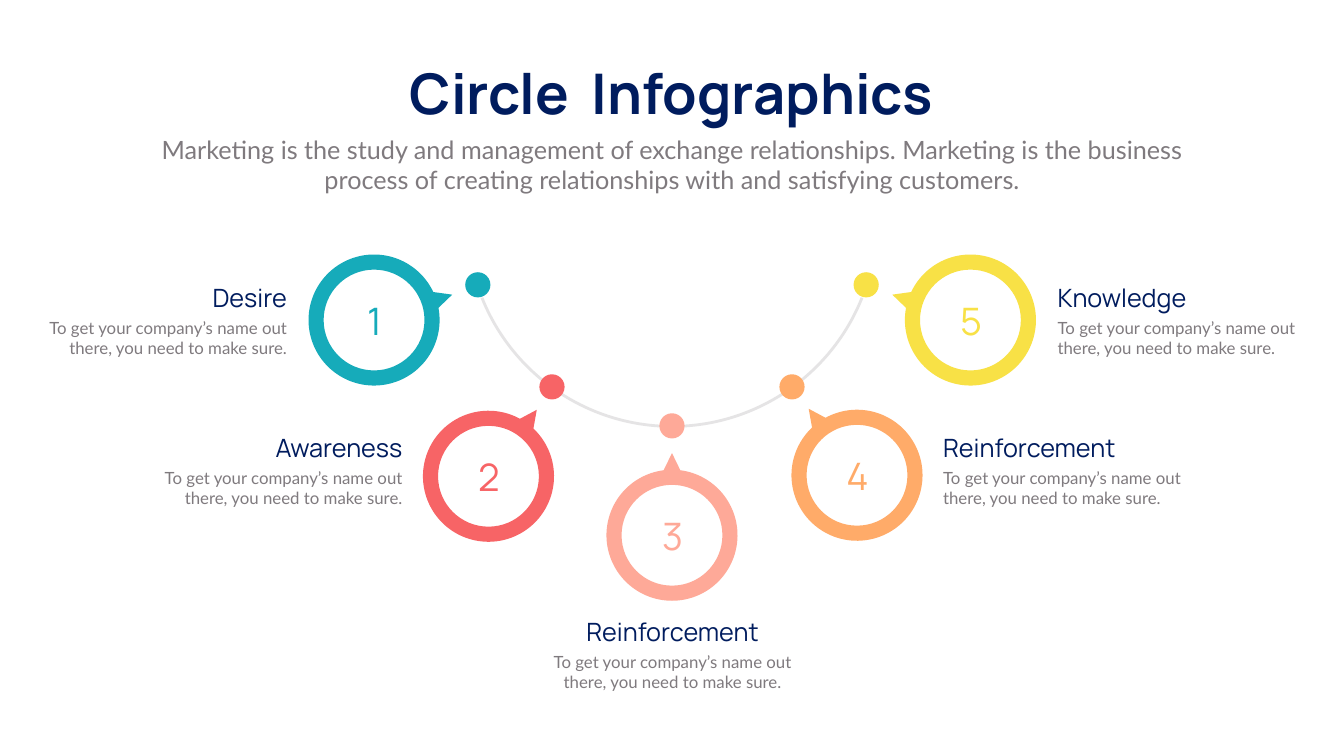
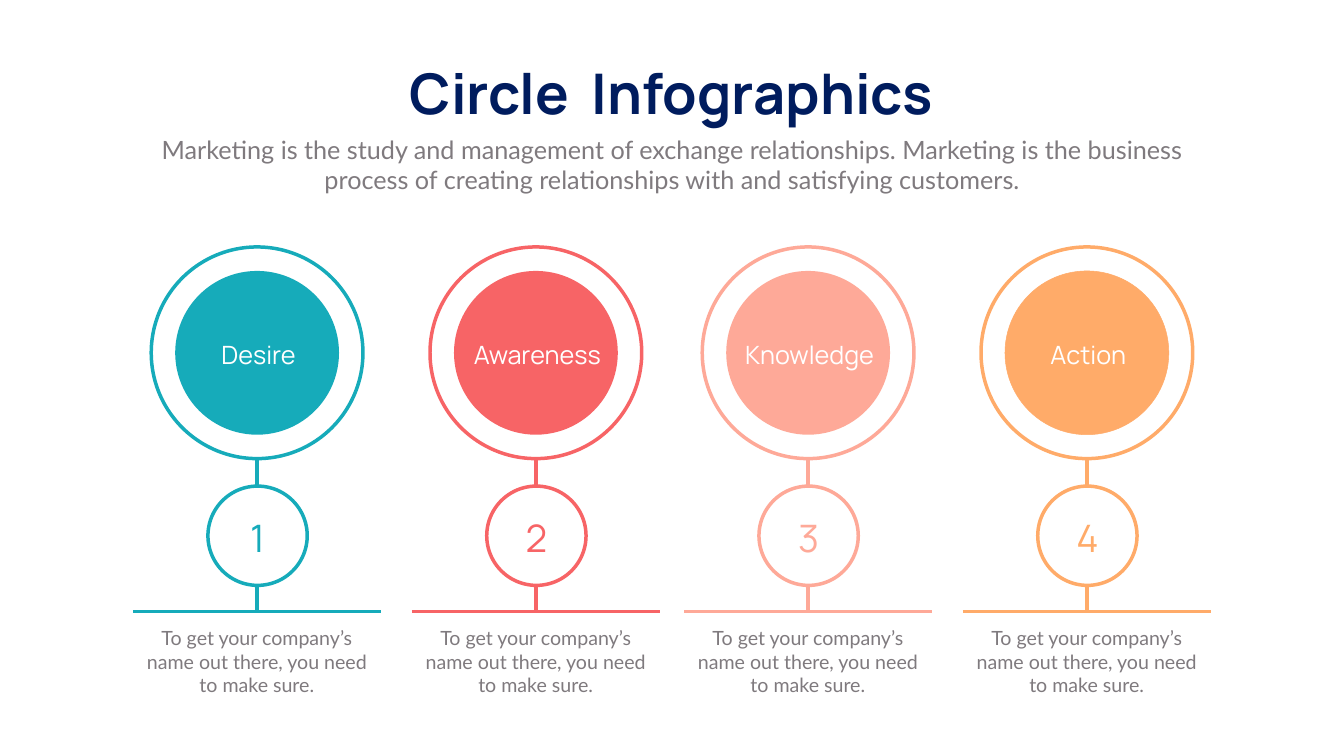
import math

import pptx
import pptx.dml.color
import pptx.enum.shapes
import pptx.enum.text
import pptx.oxml
import pptx.oxml.ns
import pptx.util

Inches = pptx.util.Inches
Pt = pptx.util.Pt
qn = pptx.oxml.ns.qn
ALIGN = pptx.enum.text.PP_ALIGN
ANCHOR = pptx.enum.text.MSO_ANCHOR
AUTO = pptx.enum.text.MSO_AUTO_SIZE
OVAL = pptx.enum.shapes.MSO_SHAPE.OVAL
STRAIGHT = pptx.enum.shapes.MSO_CONNECTOR.STRAIGHT

NAVY, GREY, SILVER, WHITE = "001C5E", "7F7A7E", "E5E4E5", "FFFFFF"
TEAL, RED, PINK, ORANGE, YELLOW = "16ABBA", "F76466", "FEA998", "FFAB69", "F8E146"
COLORS = [TEAL, RED, PINK, ORANGE, YELLOW]

TITLE = "Circle  Infographics"
INTRO = ("Marketing is the study and management of exchange relationships. "
         "Marketing is the business process of creating relationships with "
         "and satisfying customers.")
BODY = "To get your company’s name out there, you need to make sure."


def rgb(value):
    return pptx.dml.color.RGBColor.from_string(value)


def polar(cx, cy, radius, angle):
    """Return the point at angle degrees, counted clockwise from straight up."""
    a = math.radians(angle)
    return cx + radius * math.sin(a), cy - radius * math.cos(a)


def arc(cx, cy, radius, start, end, curves):
    """Return a start point, then two handles and an end point for each curve."""
    step = (end - start) / curves
    lean = math.degrees(math.atan(4 / 3 * math.tan(math.radians(step / 4))))
    reach = radius / math.cos(math.radians(lean))
    points = [polar(cx, cy, radius, start)]
    for i in range(curves):
        a, b = start + i * step, start + (i + 1) * step
        points += [polar(cx, cy, reach, a + lean), polar(cx, cy, reach, b - lean),
                   polar(cx, cy, radius, b)]
    return points


def bend(sp):
    """Turn each three line segments of a contour into one Bezier curve."""
    path = sp._element.find(".//" + qn("a:path"))
    lines = []
    for node in list(path):
        if node.tag != qn("a:lnTo"):
            lines = []
            continue
        lines.append(node)
        if len(lines) == 3:
            curve = pptx.oxml.parse_xml(
                "<a:cubicBezTo %s/>" % pptx.oxml.ns.nsdecls("a"))
            lines[0].addprevious(curve)
            for line in lines:
                curve.append(line[0])
                path.remove(line)
            lines = []


class Deck:
    """Holds the text styles and the slide being drawn."""

    fonts = {
        "title": {"name": "Manrope", "size": Pt(80), "bold": True},
        "intro": {"name": "Lato", "size": Pt(36)},
        "head": {"name": "Manrope", "size": Pt(36)},
        "number": {"name": "Manrope", "size": Pt(54)},
        "body": {"name": "Lato", "size": Pt(24)},
        "caption": {"name": "Lato", "size": Pt(28)},
    }
    frames = {
        "title": {"word_wrap": False},
        "number": {"vertical_anchor": ANCHOR.MIDDLE,
                   "margin_left": Inches(0.06), "margin_right": Inches(0.06),
                   "margin_top": Inches(0.06), "margin_bottom": Inches(0.06)},
    }

    def __init__(self, prs):
        self.prs = prs
        self.s = None

    def new_slide(self):
        self.s = self.prs.slides.add_slide(self.prs.slide_layouts[6])
        self.text(TITLE, "title", NAVY, 7.62, 1.12, 11.41, 1.45)
        self.text(INTRO, "intro", GREY, 2.92, 2.61, 20.82, 1.31)

    def text(self, text, style, color, x, y, w, h, align=ALIGN.CENTER):
        sp = self.s.shapes.add_textbox(Inches(x), Inches(y), Inches(w), Inches(h))
        tf = sp.text_frame
        frame = {"word_wrap": True, "auto_size": AUTO.SHAPE_TO_FIT_TEXT,
                 **self.frames.get(style, {})}
        for key, value in frame.items():
            setattr(tf, key, value)
        p = tf.paragraphs[0]
        p.alignment = align
        r = p.add_run()
        r.text = text
        for key, value in self.fonts[style].items():
            setattr(r.font, key, value)
        r.font.color.rgb = rgb(color)

    def number(self, n, color, cx, cy):
        self.text(str(n), "number", color, cx - 1.2, cy - 0.5, 2.42, 1.02)

    def paint(self, sp, fill=None, line=None, width=5):
        sp.shadow.inherit = False
        if fill:
            sp.fill.solid()
            sp.fill.fore_color.rgb = rgb(fill)
        else:
            sp.fill.background()
        if line:
            sp.line.color.rgb = rgb(line)
            sp.line.width = Pt(width)
        else:
            sp.line.fill.background()

    def circle(self, cx, cy, diameter, **colors):
        sp = self.s.shapes.add_shape(
            OVAL, Inches(cx - diameter / 2), Inches(cy - diameter / 2),
            Inches(diameter), Inches(diameter))
        self.paint(sp, **colors)

    def line(self, x1, y1, x2, y2, color):
        c = self.s.shapes.add_connector(
            STRAIGHT, Inches(x1), Inches(y1), Inches(x2), Inches(y2))
        c.line.color.rgb = rgb(color)
        c.line.width = Pt(5)
        c._element.spPr.append(pptx.oxml.parse_xml(
            "<a:effectLst %s/>" % pptx.oxml.ns.nsdecls("a")))

    def outline(self, contours, close=True, **colors):
        """Draw one curved freeform from several lists of points."""
        contours = [[(Inches(x), Inches(y)) for x, y in c] for c in contours]
        builder = self.s.shapes.build_freeform(*contours[0][0], scale=1.0)
        for i, points in enumerate(contours):
            if i:
                builder.move_to(*points[0])
            builder.add_line_segments(points[1:], close=close)
        sp = builder.convert_to_shape()
        bend(sp)
        self.paint(sp, **colors)

    def pointer_ring(self, cx, cy, angle, color):
        """Draw a ring with a small tip that points towards angle."""
        outer = arc(cx, cy, 1.3, angle + 7.3, angle + 352.7, 8)
        inner = arc(cx, cy, 1, 360, 0, 4)
        self.outline([outer + [polar(cx, cy, 1.63, angle)], inner], fill=color)


def arc_slide(deck):
    deck.new_slide()
    cx, cy, step = 13.33, 4.4, 36
    rings = [(7.42, 6.35), (9.69, 9.45), (13.33, 10.62), (17, 9.43), (19.25, 6.35)]
    turns = [(2 - i) * step for i in range(len(rings))]
    deck.outline([arc(cx, cy, 4.06, 111.8, 248.2, 2)],
                 close=False, line=SILVER, width=4)
    for turn, color in zip(turns, COLORS):
        deck.circle(*polar(cx, cy, 4.05, 180 + turn), 0.5, fill=color)
    for ring, turn, color in zip(rings, turns, COLORS):
        deck.pointer_ring(*ring, turn, color)
    for n, (ring, color) in enumerate(zip(rings, COLORS), 1):
        deck.number(n, color, *ring)

    # heading, text edge (left, right or middle), top, heading size, alignment
    labels = [
        ("Desire", 5.79, 5.55, 3.26, 0.71, ALIGN.RIGHT),
        ("Awareness", 8.08, 8.52, 3.26, 0.71, ALIGN.RIGHT),
        ("Reinforcement", 13.34, 12.17, 4.24, 0.71, ALIGN.CENTER),
        ("Reinforcement", 18.61, 8.52, 4.24, 1.62, ALIGN.LEFT),
        ("Knowledge", 20.88, 5.55, 3.26, 0.71, ALIGN.LEFT),
    ]
    shift = {ALIGN.LEFT: 0, ALIGN.CENTER: 0.5, ALIGN.RIGHT: 1}
    for head, edge, top, width, height, align in labels:
        for text, style, color, y, w, h in (
                (BODY, "body", GREY, top + 0.71, 5.13, 0.91),
                (head, "head", NAVY, top, width, height)):
            deck.text(text, style, color, edge - w * shift[align], y, w, h, align)


def column_slide(deck):
    deck.new_slide()
    names = ["Desire", "Awareness", "Knowledge", "Action"]
    centers = [5.1, 10.63, 16.03, 21.56]
    for n, (name, cx, color) in enumerate(zip(names, centers, COLORS), 1):
        rim = {"line": color, "width": 0.75} if name == "Action" else {}
        deck.circle(cx, 7, 3.25, fill=color, **rim)
        deck.circle(cx, 7, 4.2, line=color)
        deck.line(cx, 9.64, cx, 9.09, color)
        deck.line(cx - 2.46, 12.13, cx + 2.46, 12.13, color)
        deck.circle(cx + 0.01, 10.63, 1.97, line=color)
        deck.text(name, "head", WHITE, cx - 1.75, 6.68, 3.56, 0.71)
        deck.number(n, color, cx, 10.65)
        deck.text(BODY, "caption", GREY, cx - 2.34, 12.37, 4.67, 1.51)
        deck.line(cx, 12.14, cx, 11.59, color)


def main():
    prs = pptx.Presentation()
    prs.slide_width = Inches(26.66)
    prs.slide_height = Inches(15)
    deck = Deck(prs)
    arc_slide(deck)
    column_slide(deck)
    prs.save("out.pptx")


if __name__ == "__main__":
    main()
